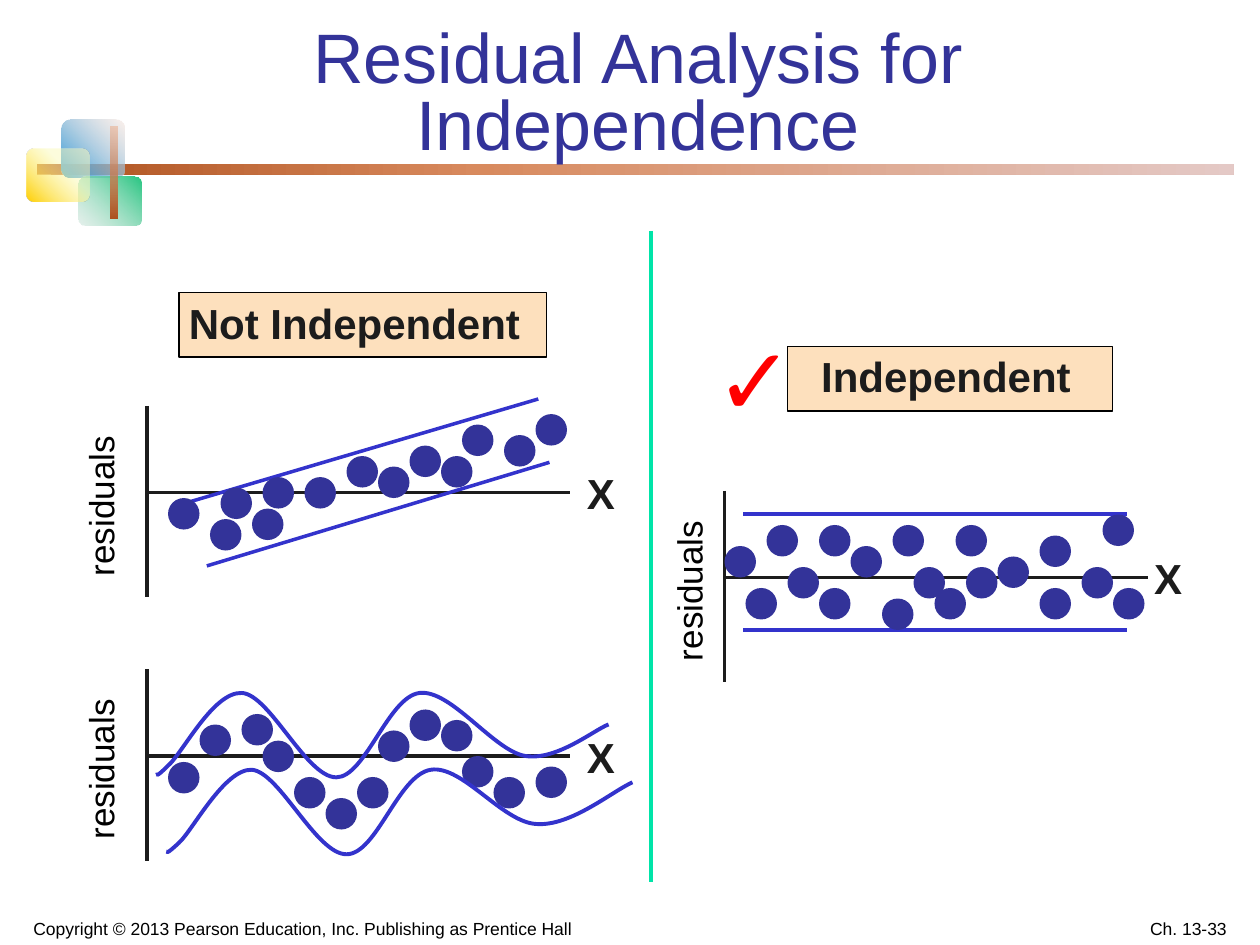
"""Build the slide on residual analysis for independence."""
from itertools import chain

from lxml.etree import SubElement
from pptx import Presentation
from pptx.dml.color import RGBColor
from pptx.enum.shapes import MSO_CONNECTOR, MSO_SHAPE
from pptx.enum.text import MSO_ANCHOR, PP_ALIGN
from pptx.oxml import parse_xml
from pptx.oxml.ns import nsdecls, qn
from pptx.util import Pt

INK, BLACK, NAVY, BLUE = "1C1C1C", "000000", "333399", "3333CC"
PEACH, GREEN, RED = "FDE0BD", "00E4A8", "FF0000"


def rgb(code):
    """Turn a hex string into a colour."""
    return RGBColor.from_string(code)


class Pen:
    """Hold the slide and its style, and draw elements in points."""

    font = "Arial"
    dot_size = 18

    def __init__(self, s):
        """Keep the slide to draw on."""
        self.s = s

    def shape(self, box, kind=MSO_SHAPE.RECTANGLE, fill=None, line=None):
        """Draw a preset shape."""
        sp = self.s.shapes.add_shape(kind, *map(Pt, box))
        sp.shadow.inherit = False
        if fill:
            sp.fill.solid()
            sp.fill.fore_color.rgb = rgb(fill)
        if line:
            sp.line.color.rgb = rgb(line)
            sp.line.width = Pt(1)
        else:
            sp.line.fill.background()
        return sp

    def gradient(self, box, angle, stops, corner=0.15):
        """Draw a rounded shape with stops of position, colour and opacity."""
        sp = self.shape(box, MSO_SHAPE.ROUNDED_RECTANGLE)
        sp.adjustments[0] = corner
        sp.fill.gradient()
        gs = "".join(
            f'<a:gs pos="{pos * 1000}"><a:srgbClr val="{code}">'
            f'<a:alpha val="{alpha * 1000}"/></a:srgbClr></a:gs>'
            for pos, code, alpha in stops)
        old = sp._element.spPr.find(qn("a:gradFill"))
        old.getparent().replace(old, parse_xml(
            f'<a:gradFill {nsdecls("a")} rotWithShape="1"><a:gsLst>{gs}</a:gsLst>'
            f'<a:lin ang="{angle * 60000}" scaled="1"/></a:gradFill>'))

    def text(self, box, words, size, color=BLACK, bold=False, rotation=0,
             anchor=MSO_ANCHOR.TOP, **layout):
        """Write one paragraph in a text box."""
        sp = self.s.shapes.add_textbox(*map(Pt, box))
        sp.rotation = rotation
        tf = sp.text_frame
        frame = {"word_wrap": True, "vertical_anchor": anchor,
                 "margin_left": Pt(7.2), "margin_right": Pt(7.2),
                 "margin_top": Pt(3.6), "margin_bottom": Pt(3.6)}
        p = tf.paragraphs[0]
        r = p.add_run()
        r.text = words
        font = {"name": self.font, "size": Pt(size), "bold": bold}
        for target, values in ((tf, frame), (p, layout), (r.font, font)):
            for name, value in values.items():
                setattr(target, name, value)
        r.font.color.rgb = rgb(color)

    def line(self, x1, y1, x2, y2, color=INK, width=2):
        """Draw a straight line."""
        c = self.s.shapes.add_connector(MSO_CONNECTOR.STRAIGHT, *map(Pt, (x1, y1, x2, y2)))
        c.line.color.rgb = rgb(color)
        c.line.width = Pt(width)
        c._element.spPr.append(parse_xml(f'<a:effectLst {nsdecls("a")}/>'))

    def curve(self, start, segments):
        """Draw an open chain of cubic curves."""
        builder = self.s.shapes.build_freeform(*map(Pt, start), scale=1.0)
        builder.add_line_segments(
            [(Pt(x), Pt(y)) for x, y in chain.from_iterable(segments)], close=False)
        sp = builder.convert_to_shape()
        steps = list(sp._element.iter(qn("a:lnTo")))
        outline = steps[0].getparent()
        for i in range(0, len(steps), 3):
            cubic = SubElement(outline, qn("a:cubicBezTo"))
            for step in steps[i:i + 3]:
                cubic.append(step[0])
                outline.remove(step)
        sp.shadow.inherit = False
        sp.fill.background()
        sp.line.color.rgb = rgb(BLUE)
        sp.line.width = Pt(2.25)

    def plot(self, x, y, dots, bounds=(), label_dx=-78.1, x_dx=244.3):
        """Draw axes with labels, straight bounds and residual dots."""
        self.line(x, y, x, y + 109.4)
        self.line(x, y + 49.5, x + 242, y + 49.5)
        self.text((x + x_dx, y + 31.8, 39, 36), "X", 24, INK, True)
        self.text((x + label_dx, y + 37.3, 103, 31), "residuals", 20, rotation=270)
        for bound in bounds:
            self.line(*bound, BLUE)
        for left, top in dots:
            self.shape((left, top, self.dot_size, self.dot_size), MSO_SHAPE.OVAL, NAVY)


RISING = [(96, 284.6), (120, 296.6), (126, 278.6), (144, 290.6), (150, 272.6),
          (174, 272.6), (198, 260.6), (216, 266.6), (234, 254.6), (252, 260.6),
          (264, 242.6), (288, 248.6), (306, 236.6)]
RANDOM = [(414, 312), (426, 336), (438, 300), (450, 324), (468, 300), (468, 336),
          (486, 312), (504, 342), (510, 300), (522, 324), (534, 336), (546, 300),
          (552, 324), (570, 318), (594, 306), (594, 336), (618, 324), (630, 294),
          (636, 336)]
WAVY = [(96, 435.4), (114, 414), (138, 408), (150, 423.2), (168, 444), (186, 456),
        (204, 444), (216, 417.4), (234, 405.4), (252, 411.4), (264, 432),
        (282, 444), (306, 438)]
UPPER = [((90.7, 441.4), (87.8, 445.7), (95.8, 437.8)),
         ((104.4, 430.6), (121.7, 395.3), (138.2, 396)),
         ((154.1, 396.7), (175, 444.2), (192.2, 444.2)),
         ((208.8, 444.2), (221.8, 398.2), (239.8, 396)),
         ((257.8, 393.8), (282.2, 429.1), (300.2, 432)),
         ((318.2, 434.9), (339.8, 416.9), (347.8, 414))]
LOWER = [((96.5, 486), (93.6, 489.6), (102.2, 481.7)),
         ((110.2, 474.5), (128.2, 439.2), (144, 439.9)),
         ((159.8, 441.4), (180.7, 488.2), (198, 488.2)),
         ((215.3, 488.2), (227.5, 442.8), (246.2, 439.9)),
         ((264.2, 437), (287.3, 470.2), (306.7, 470.9)),
         ((326.2, 472.3), (349.9, 452.2), (361.4, 447.1))]


def main():
    """Build and save the slide."""
    prs = Presentation()
    prs.slide_width, prs.slide_height = Pt(720), Pt(540)
    pen = Pen(prs.slides.add_slide(prs.slide_layouts[6]))

    pen.gradient((21, 93.8, 684, 6), 0,
                 [(0, "AE511E", 100), (37, "D88A5E", 100), (100, "E4C9C6", 100)], 0.05)
    pen.gradient((35.3, 68.4, 36, 33), 315, [(0, "2895D8", 100), (100, "F7E2D9", 50)])
    pen.gradient((44.8, 100.8, 36, 28), 135, [(0, "25C580", 100), (100, "CCE2D9", 50)])
    pen.gradient((15.1, 85, 36, 30.2), 315, [(0, "FFCF01", 100), (63, "FCFCBC", 50)])
    pen.gradient((63, 72.2, 3.9, 52.6), 270, [(0, "AE511E", 100), (100, "EAA782", 50)], 0)

    pen.shape((102.2, 167.2, 210.2, 36.7), fill=PEACH, line=BLACK)
    pen.shape((450, 198, 185.8, 36.7), fill=PEACH, line=BLACK)
    pen.text((90.2, 13.5, 548.6, 83.5), "Residual Analysis for Independence", 40, NAVY,
             alignment=PP_ALIGN.CENTER, line_spacing=0.8)
    pen.text((100.8, 166.3, 260.6, 36), "Not Independent", 24, INK, True)
    pen.text((462.2, 196.6, 223.2, 36), "Independent", 24, INK, True)

    pen.plot(84, 232, RISING, [(106.6, 287.3, 307.6, 228), (118.2, 323.4, 314, 264.2)])
    pen.plot(414, 280.5, RANDOM, [(424.8, y, 643.9, y) for y in (293.8, 360)],
             label_dx=-72, x_dx=238.5)
    pen.plot(84, 382.5, WAVY)
    pen.curve((89.3, 442.8), UPPER)
    pen.curve((95, 486.7), LOWER)

    pen.line(372, 132, 372, 504, GREEN, 2.25)
    pen.text((401.8, 180, 72, 72), "✓", 54, RED)
    pen.text((0, 514.8, 345.6, 25.2),
             "Copyright © 2013 Pearson Education, Inc. Publishing as Prentice Hall", 10,
             anchor=MSO_ANCHOR.BOTTOM, alignment=PP_ALIGN.CENTER)
    pen.text((540, 514.8, 168, 25.2), "Ch. 13-33", 10,
             anchor=MSO_ANCHOR.BOTTOM, alignment=PP_ALIGN.RIGHT)
    prs.save("out.pptx")


if __name__ == "__main__":
    main()
